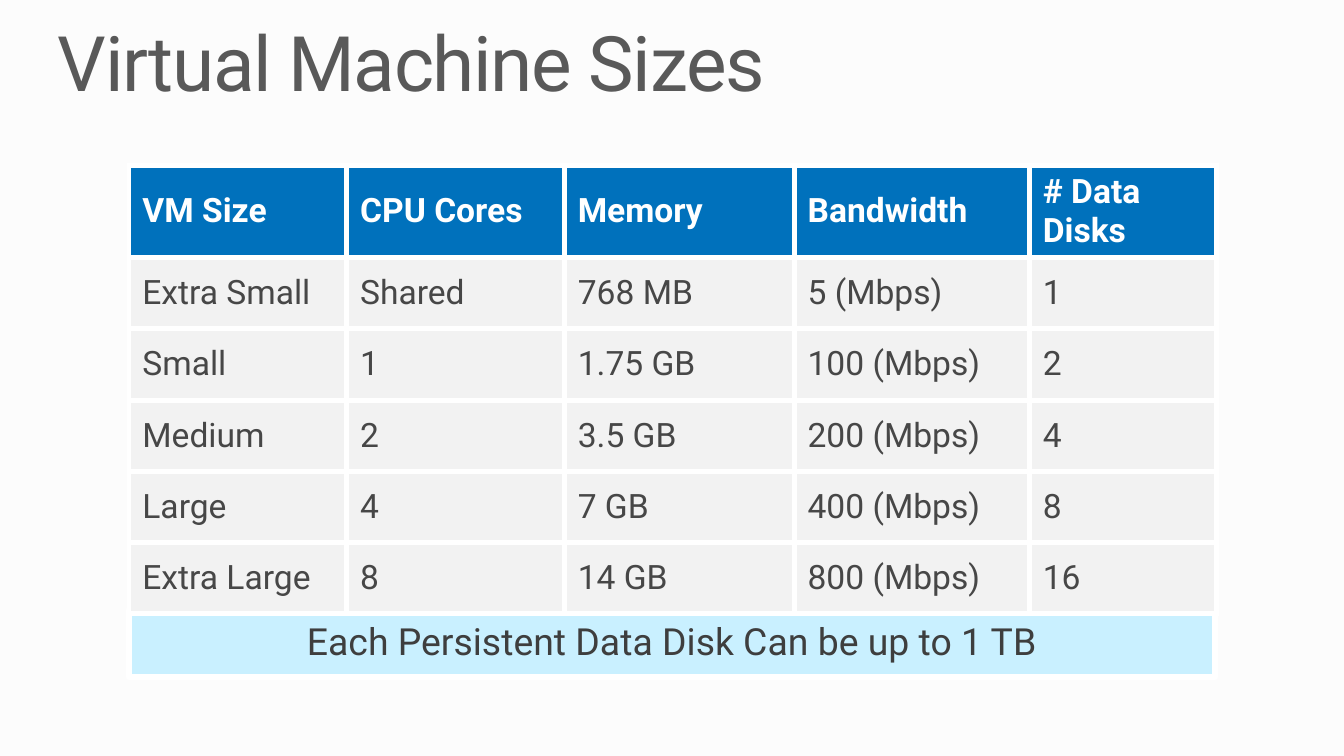
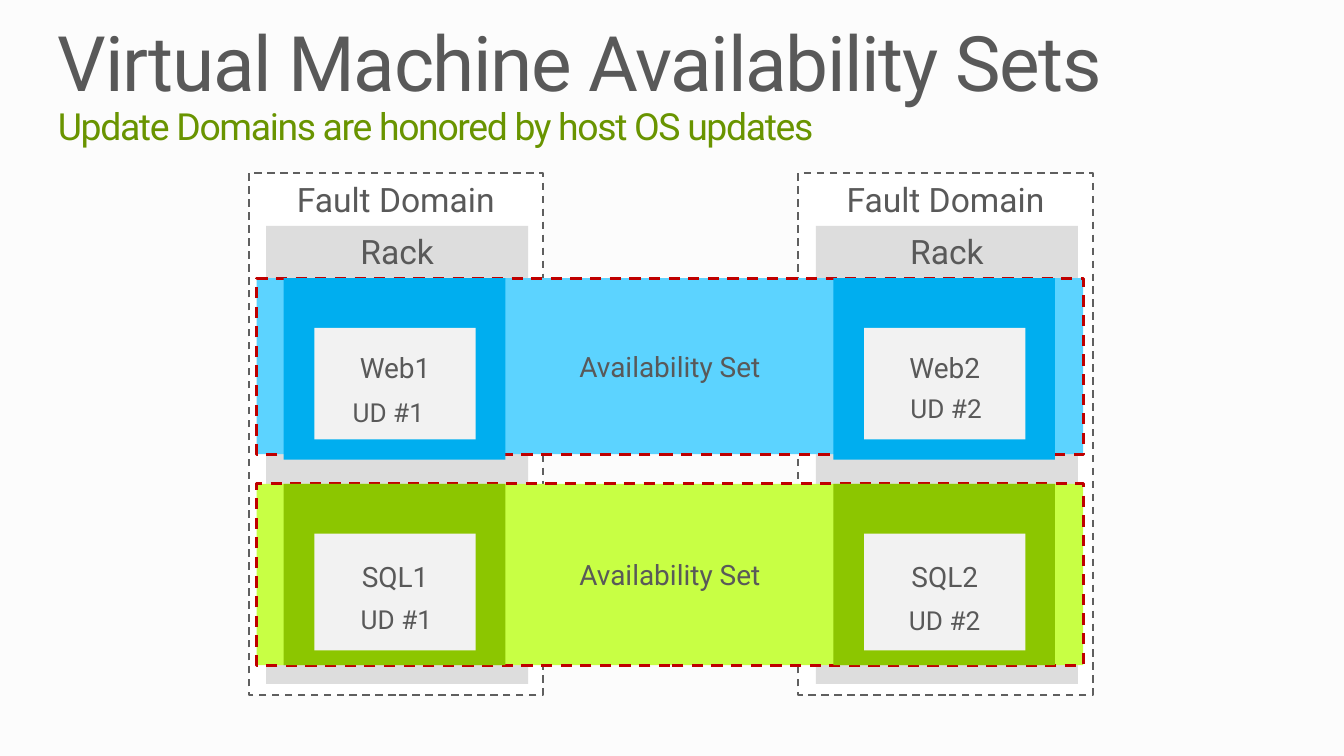
from lxml import etree
from pptx import Presentation
from pptx.dml.color import RGBColor as RGB
from pptx.enum.dml import MSO_LINE as Dash
from pptx.enum.shapes import MSO_SHAPE as Shape
from pptx.enum.text import MSO_ANCHOR as Anchor, MSO_AUTO_SIZE as Fit, PP_ALIGN as Align
from pptx.oxml import parse_xml
from pptx.oxml.ns import nsdecls
from pptx.util import Inches, Pt

FONT = "Roboto"
COLORS = {
    "back": "FCFCFC", "white": "FFFFFF", "text": "595959", "sub": "699400",
    "head": "0071BC", "cell": "F2F2F2", "ink": "474747",
    "note": "C9F0FF", "dark": "3E3E3E",
    "edge": "5F5F5F", "rack": "DDDDDD", "red": "BF0000",
    "sky": "5CD3FF", "blue": "00AEEF", "lime": "C8FF44", "green": "8CC600",
}
SIZES = [
    ["VM Size", "CPU Cores", "Memory", "Bandwidth", "# Data Disks"],
    ["Extra Small", "Shared", "768 MB", "5 (Mbps)", "1"],
    ["Small", "1", "1.75 GB", "100 (Mbps)", "2"],
    ["Medium", "2", "3.5 GB", "200 (Mbps)", "4"],
    ["Large", "4", "7 GB", "400 (Mbps)", "8"],
    ["Extra Large", "8", "14 GB", "800 (Mbps)", "16"],
]
WIDTHS = [1.62, 1.62, 1.71, 1.75, 1.39]
ROW = 0.53
STEP = 4.09  # from one fault domain to the next
# server name, top, set height, server height, set colour, machine colour
SETS = [
    ("Web", 2.07, 1.31, 0.83, "sky", "blue"),
    ("SQL", 3.6, 1.35, 0.87, "lime", "green"),
]
UPDATES = [
    ("UD #2", 6.66, 2.87), ("UD #2", 6.65, 4.45),
    ("UD #1", 2.51, 2.9), ("UD #1", 2.57, 4.44),
]


def color(name):
    return RGB.from_string(COLORS[name])


def place(*lengths):
    return [Inches(x) for x in lengths]


def write(para, text, size=18, ink="text", bold=False, align=Align.CENTER,
          lead=None, track=None):
    para.alignment = align
    if lead:
        para.line_spacing = lead
    run = para.add_run()
    run.text = text
    font = run.font
    font.name, font.size, font.bold = FONT, Pt(size), bold
    font.color.rgb = color(ink)
    if track:
        run._r.get_or_add_rPr().set("spc", str(int(track * 100)))


def split(para, size):
    """Add a line break of the given text size."""
    para.add_line_break()
    para._p[-1].append(parse_xml(f'<a:rPr {nsdecls("a")} sz="{size * 100}"/>'))


def inset(frame, left, top, right, low):
    frame.margin_left, frame.margin_top = place(left, top)
    frame.margin_right, frame.margin_bottom = place(right, low)


def box(slide, at, fill, text=None, line=None, width=1, dash=True,
        anchor=Anchor.TOP, pad=(0.07, 0.04, 0.07, 0.04), **style):
    shape = slide.shapes.add_shape(Shape.RECTANGLE, *place(*at))
    shape.shadow.inherit = False
    shape.fill.solid()
    shape.fill.fore_color.rgb = color(fill)
    if line:
        shape.line.color.rgb = color(line)
        shape.line.width = Pt(width)
        if dash:
            shape.line.dash_style = Dash.DASH
    else:
        shape.line.fill.background()
    if text:
        frame = shape.text_frame
        frame.word_wrap = True
        frame.vertical_anchor = anchor
        inset(frame, *pad)
        write(frame.paragraphs[0], text, **style)


def label(slide, text, left, top):
    frame = slide.shapes.add_textbox(*place(left, top, 0.76, 0.34)).text_frame
    frame.word_wrap = False
    write(frame.paragraphs[0], text, size=14)


def start(deck, title, height, sub=None):
    """Add a slide with its title and an optional second line."""
    slide = deck.slides.add_slide(deck.slide_layouts[5])
    head = slide.shapes.title
    head.left, head.top, head.width, head.height = place(0.43, 0.19, 9.15, height)
    frame = head.text_frame
    frame.auto_size, frame.word_wrap = Fit.NONE, True
    frame.vertical_anchor = Anchor.TOP
    inset(frame, 0, 0, 0, 0)
    para = frame.paragraphs[0]
    look = dict(align=Align.LEFT, lead=0.9, track=-0.75)
    write(para, title, size=41, **look)
    if sub:
        split(para, 41)
        write(para, sub, size=20, ink="sub", **look)
    return slide


def border(cell, name, width):
    props = cell._tc.get_or_add_tcPr()
    for side in ("lnL", "lnR", "lnT", "lnB"):
        line = parse_xml(f'<a:{side} {nsdecls("a")} w="{Pt(width)}"/>')
        fill = etree.SubElement(line, line.tag.replace(side, "solidFill"))
        etree.SubElement(fill, line.tag.replace(side, "srgbClr"), val=COLORS[name])
        props.append(line)


def grid(slide, rows, left, top):
    area = place(left, top, sum(WIDTHS), ROW * len(rows))
    table = slide.shapes.add_table(len(rows), len(WIDTHS), *area).table
    table.horz_banding = False
    for col, width in zip(table.columns, WIDTHS):
        col.width = Inches(width)
    for r, row in enumerate(rows):
        table.rows[r].height = Inches(ROW)
        top_row = r == 0
        for c, text in enumerate(row):
            cell = table.cell(r, c)
            border(cell, "white", 3)
            cell.fill.solid()
            cell.fill.fore_color.rgb = color("head" if top_row else "cell")
            cell.vertical_anchor = Anchor.MIDDLE
            write(cell.text_frame.paragraphs[0], text, bold=top_row,
                  ink="white" if top_row else "ink", align=Align.LEFT)


def sizes(deck):
    slide = start(deck, "Virtual Machine Sizes", 0.62)
    box(slide, (0.96, 4.54, 8.08, 0.5), "note",
        "Each Persistent Data Disk Can be up to 1 TB", line="white", width=3,
        dash=False, pad=[0.1] * 4, size=20, ink="dark", lead=0.9)
    grid(slide, SIZES, 0.96, 1.23)


def domains(deck):
    slide = start(deck, "Virtual Machine Availability Sets", 0.92,
                  "Update Domains are honored by host OS updates")
    shifts = (0, STEP)
    for x in shifts:
        box(slide, (1.85 + x, 1.29, 2.19, 3.88), "white", "Fault Domain", line="edge")
        box(slide, (1.98 + x, 1.68, 1.95, 3.41), "rack", "Rack")
    for _, top, high, _, pale, _ in SETS:
        box(slide, (1.91, top, 6.15, high), pale, "Availability Set",
            line="red", width=1.5, anchor=Anchor.MIDDLE, size=15)
    for x in shifts:
        for _, top, _, _, _, deep in SETS:
            box(slide, (2.11 + x, top, 1.65, 1.35), deep)
    for num, x in enumerate(shifts, 1):
        for name, top, _, high, _, _ in SETS:
            # The deep bottom inset leaves room for the update label
            box(slide, (2.34 + x, top + 0.37, 1.2, high), "cell", f"{name}{num}",
                anchor=Anchor.MIDDLE, pad=(0.07, 0.04, 0.07, 0.28), size=15)
    for text, left, top in UPDATES:
        label(slide, text, left, top)


def main():
    deck = Presentation()
    deck.slide_width = Inches(10)
    deck.slide_height = deck.slide_width * 9 // 16
    back = deck.slide_master.background.fill
    back.solid()
    back.fore_color.rgb = color("back")
    sizes(deck)
    domains(deck)
    deck.save("out.pptx")


if __name__ == "__main__":
    main()
